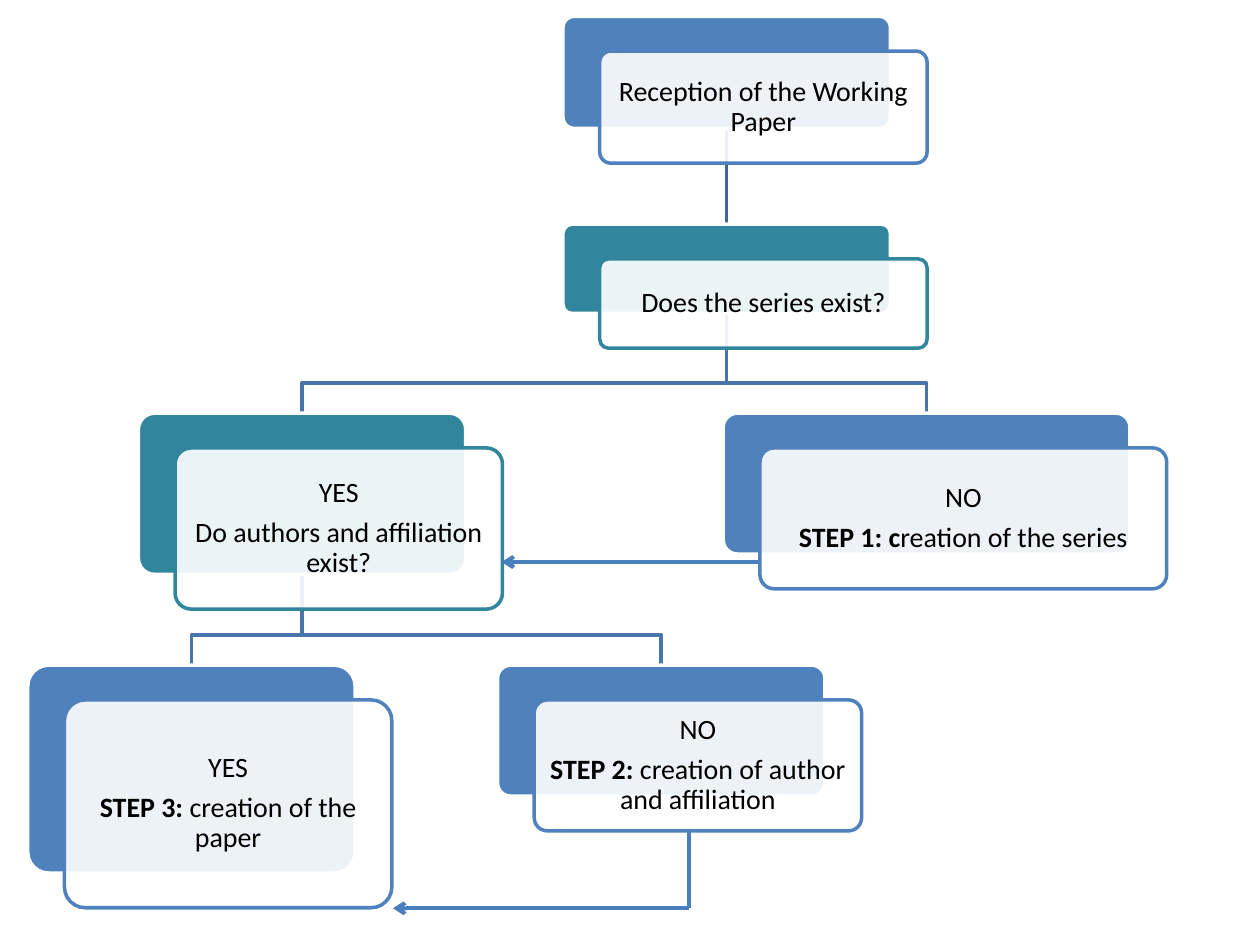
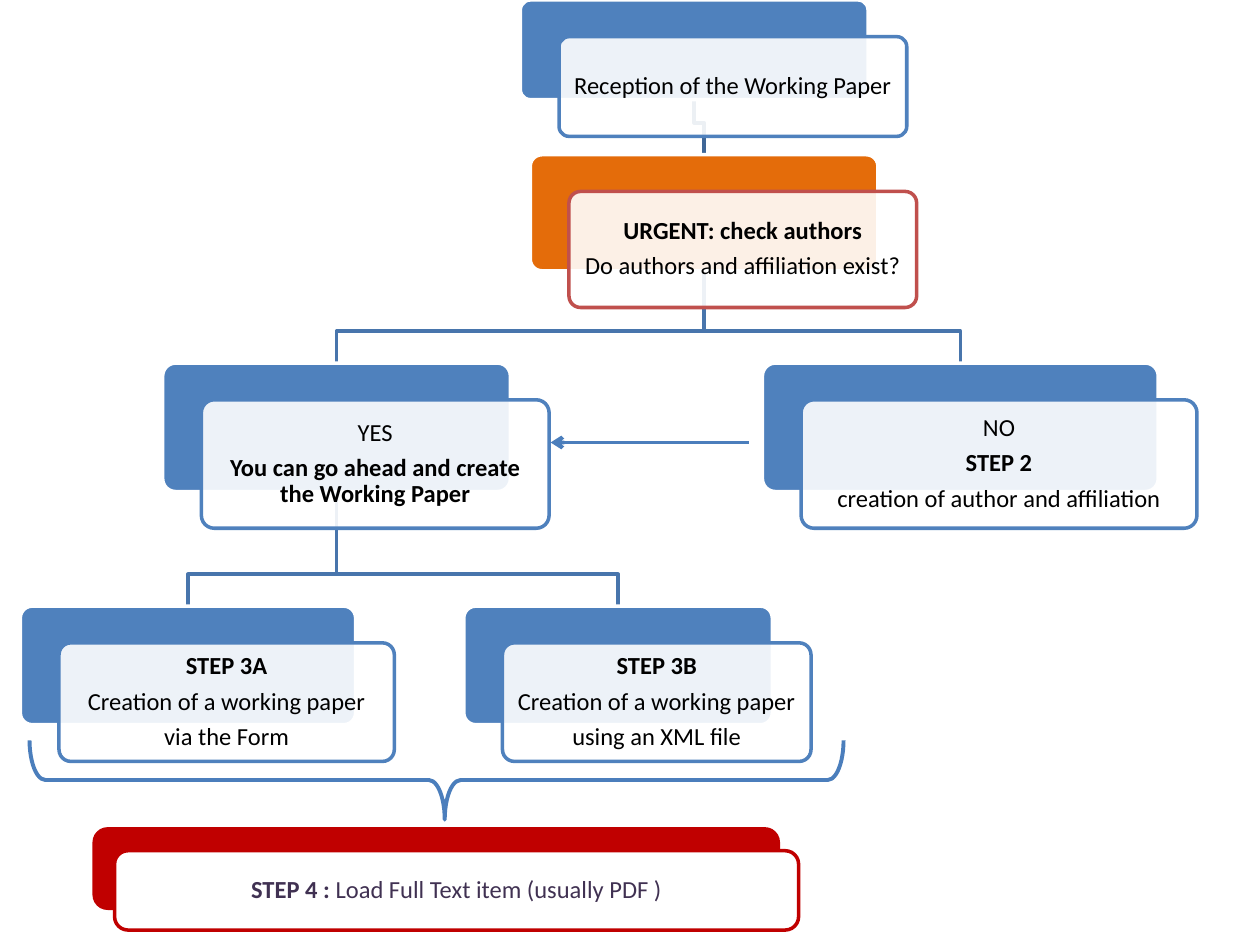
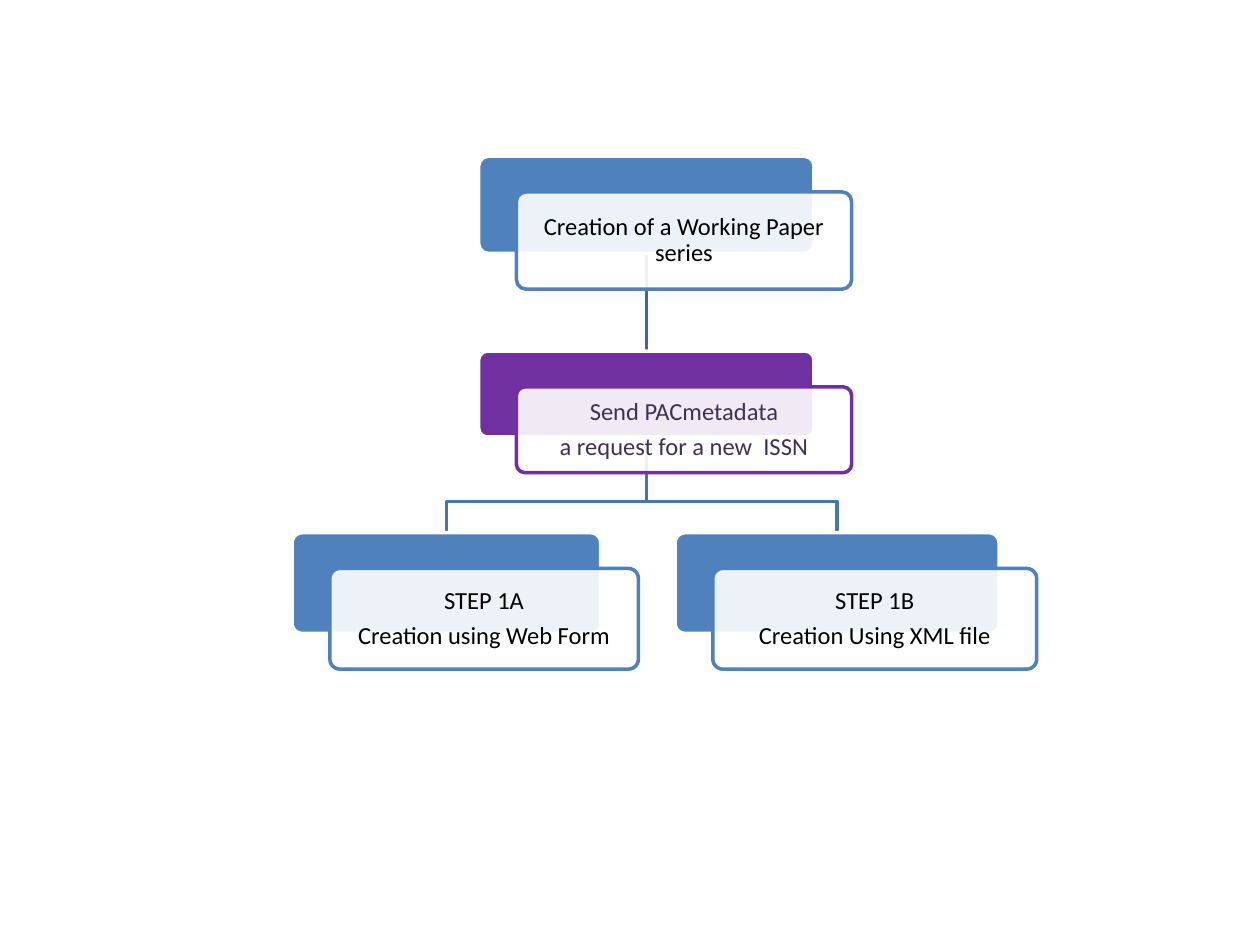
"""Build three flowcharts that explain how a working paper is recorded."""
from dataclasses import dataclass
from typing import Optional

from lxml import etree
from pptx import Presentation
from pptx import util as u
from pptx.dml.color import RGBColor
from pptx.enum import shapes, text
from pptx.oxml import ns

FONT = "Calibri"
WHITE = RGBColor(0xFF, 0xFF, 0xFF)
BLACK = RGBColor(0x00, 0x00, 0x00)
BLUE = RGBColor(0x4F, 0x81, 0xBD)
TEAL = RGBColor(0x31, 0x85, 0x9C)
ORANGE = RGBColor(0xE4, 0x6C, 0x0A)
BRICK = RGBColor(0xC0, 0x50, 0x4D)
RED = RGBColor(0xC0, 0x00, 0x00)
PURPLE = RGBColor(0x70, 0x30, 0xA0)
PLUM = RGBColor(0x40, 0x31, 0x52)
ARROW_BLUE = RGBColor(0x4B, 0x7E, 0xBC)
BRANCH_BLUE = RGBColor(0x48, 0x75, 0xAC)
ROOT_BLUE = RGBColor(0x3F, 0x67, 0x97)
CARD_CORNER = 0.1
BAR_CORNER = 0.17
LINK_WIDTH = 2
ARROW_WIDTH = 2.25


@dataclass(frozen=True)
class Line:
    """One paragraph: a bold lead followed by plain words."""
    plain: str = ""
    bold: str = ""


@dataclass(frozen=True)
class Look:
    """Type size, inner margin and front-card offset of one chart, in points and cm."""
    size: int
    margin: float
    shift: float
    drop: float

    @property
    def bend(self) -> float:
        """Height of a link's bend above the child card."""
        return 0.87 * self.drop


@dataclass(frozen=True)
class Box:
    """A rectangle in cm."""
    left: float
    top: float
    width: float
    height: float

    @property
    def middle(self) -> float:
        return self.left + self.width / 2

    @property
    def bottom(self) -> float:
        return self.top + self.height

    def moved(self, right: float, down: float) -> "Box":
        """Return the same box at an offset."""
        return Box(self.left + right, self.top + down, self.width, self.height)


@dataclass(frozen=True)
class Card:
    """A coloured card with a translucent text card in front of it."""
    box: Box
    lines: tuple[Line, ...]
    parent: Optional["Card"] = None
    fill: RGBColor = BLUE
    outline: Optional[RGBColor] = None
    ink: RGBColor = BLACK


LARGE = Look(size=16, margin=0.18, shift=0.74, drop=0.7)
WIDE = Look(size=14, margin=0.15, shift=0.78, drop=0.74)
COMPACT = Look(size=14, margin=0.15, shift=0.76, drop=0.72)


def append_tag(parent, tag: str, **attributes: str) -> None:
    """Append a drawing element to its parent."""
    etree.SubElement(parent, ns.qn(tag), **attributes)


def add_rounded(slide, box: Box, fill: RGBColor, outline: RGBColor, corner: float):
    """Draw a rounded rectangle."""
    shape = slide.shapes.add_shape(
        shapes.MSO_SHAPE.ROUNDED_RECTANGLE,
        u.Cm(box.left), u.Cm(box.top), u.Cm(box.width), u.Cm(box.height))
    shape.adjustments[0] = corner
    shape.shadow.inherit = False
    shape.fill.solid()
    shape.fill.fore_color.rgb = fill
    shape.line.color.rgb = outline
    shape.line.width = u.Pt(LINK_WIDTH)
    return shape


def write_lines(shape, lines: tuple[Line, ...], look: Look, ink: RGBColor) -> None:
    """Write centred paragraphs into a shape."""
    frame = shape.text_frame
    frame.word_wrap = True
    frame.vertical_anchor = text.MSO_ANCHOR.MIDDLE
    frame.margin_left = frame.margin_right = u.Cm(look.margin)
    frame.margin_top = frame.margin_bottom = u.Cm(look.margin)
    for index, line in enumerate(lines):
        paragraph = frame.add_paragraph() if index else frame.paragraphs[0]
        paragraph.alignment = text.PP_ALIGN.CENTER
        paragraph.line_spacing = 0.9
        paragraph.space_after = u.Pt(0.35 * look.size)
        paragraph.font.name = FONT
        paragraph.font.size = u.Pt(look.size)
        paragraph.font.color.rgb = ink
        for words, bold in ((line.bold, True), (line.plain, False)):
            if words:
                run = paragraph.add_run()
                run.text = words
                run.font.bold = bold


def add_card(slide, card: Card, look: Look) -> None:
    """Draw a card and the text card in front of it."""
    add_rounded(slide, card.box, card.fill, WHITE, CARD_CORNER)
    front = add_rounded(slide, card.box.moved(look.shift, look.drop), WHITE,
                        card.outline or card.fill, CARD_CORNER)
    append_tag(front.element.spPr.find(".//" + ns.qn("a:srgbClr")), "a:alpha", val="90000")
    write_lines(front, card.lines, look, card.ink)


def add_line(slide, start: tuple[float, float], end: tuple[float, float],
             color: RGBColor, width: float, arrow: bool = False) -> None:
    """Draw a straight line, with an arrowhead at its end if asked."""
    line = slide.shapes.add_connector(
        shapes.MSO_CONNECTOR.STRAIGHT, *(u.Cm(value) for value in start + end))
    line.line.color.rgb = color
    line.line.width = u.Pt(width)
    if arrow:
        append_tag(line.line._get_or_add_ln(), "a:tailEnd", type="arrow")
    append_tag(line.element.spPr, "a:effectLst")


def add_link(slide, parent: Card, child: Card, look: Look) -> None:
    """Join a card to the one below it, with a bend where they are not aligned."""
    color = BRANCH_BLUE if parent.parent else ROOT_BLUE
    start = (parent.box.middle, parent.box.bottom)
    end = (child.box.middle, child.box.top)
    if start[0] == end[0]:
        add_line(slide, start, end, color, LINK_WIDTH)
        return
    bend = child.box.top - look.bend
    points = [(u.Cm(x), u.Cm(y)) for x, y in (start, (start[0], bend), (end[0], bend), end)]
    builder = slide.shapes.build_freeform(*points[0])
    builder.add_line_segments(points[1:], close=False)
    link = builder.convert_to_shape()
    link.shadow.inherit = False
    link.fill.background()
    link.line.color.rgb = color
    link.line.width = u.Pt(LINK_WIDTH)


def add_chart_slide(presentation, cards: tuple[Card, ...], look: Look):
    """Add a slide with all links behind all cards."""
    slide = presentation.slides.add_slide(presentation.slide_layouts[6])
    for card in cards:
        if card.parent:
            add_link(slide, card.parent, card, look)
    for card in cards:
        add_card(slide, card, look)
    return slide


def add_reception_slide(presentation) -> None:
    """Show the path from reception to the three steps."""
    reception = Card(Box(11.35, 0.33, 6.6, 2.26), (Line("Reception of the Working Paper"),))
    series = Card(Box(11.35, 4.52, 6.6, 1.8), (Line("Does the series exist?"),),
                  reception, TEAL)
    authors = Card(Box(2.79, 8.33, 6.6, 3.25),
                   (Line("YES"), Line("Do authors and affiliation exist?")), series, TEAL)
    paper = Card(Box(0.56, 13.41, 6.6, 4.19),
                 (Line("YES"), Line("creation of the paper", "STEP 3: ")), authors)
    new_author = Card(Box(10.03, 13.41, 6.6, 2.64),
                      (Line("NO"), Line("creation of author and affiliation", "STEP 2: ")),
                      authors)
    new_series = Card(Box(14.58, 8.33, 8.2, 2.84),
                      (Line("NO"), Line("reation of the series", "STEP 1: c")), series)
    slide = add_chart_slide(
        presentation, (reception, series, authors, paper, new_author, new_series), LARGE)
    corner = (13.89, 18.31)
    add_line(slide, (15.29, 11.33), (10.11, 11.33), ARROW_BLUE, ARROW_WIDTH, arrow=True)
    add_line(slide, corner, (7.92, 18.31), ARROW_BLUE, ARROW_WIDTH, arrow=True)
    add_line(slide, (13.89, 16.71), corner, ARROW_BLUE, ARROW_WIDTH)


def add_brace(slide, box: Box) -> None:
    """Draw a brace turned to point down."""
    brace = slide.shapes.add_shape(
        shapes.MSO_SHAPE.RIGHT_BRACE,
        u.Cm(box.left), u.Cm(box.top), u.Cm(box.width), u.Cm(box.height))
    brace.rotation = 90
    brace.adjustments[0] = 0.2
    brace.adjustments[1] = 0.49
    brace.shadow.inherit = False
    brace.fill.background()
    brace.line.color.rgb = ARROW_BLUE
    brace.line.width = u.Pt(ARROW_WIDTH)


def add_authors_slide(presentation) -> None:
    """Show the author check and the loading of the full text."""
    reception = Card(Box(10.49, 0, 7.01, 2.01), (Line("Reception of the Working Paper"),))
    check = Card(Box(10.69, 3.12, 7.01, 2.34),
                 (Line(bold="URGENT: check authors"),
                  Line("Do authors and affiliation exist?")),
                 reception, ORANGE, BRICK)
    go_ahead = Card(Box(3.28, 7.32, 7.01, 2.59),
                    (Line("YES"), Line(bold="You can go ahead and create the Working Paper")),
                    check)
    form = Card(Box(0.41, 12.22, 6.76, 2.39),
                (Line(bold="STEP 3A"), Line("Creation of a working paper"),
                 Line("via the Form")), go_ahead)
    xml_file = Card(Box(9.35, 12.22, 6.22, 2.39),
                    (Line(bold="STEP 3B"), Line("Creation of a working paper"),
                     Line("using an XML file")), go_ahead)
    new_author = Card(Box(15.37, 7.32, 7.98, 2.59),
                      (Line("NO"), Line(bold="STEP 2"),
                       Line("creation of author and affiliation")), check)
    slide = add_chart_slide(
        presentation, (reception, check, go_ahead, form, xml_file, new_author), WIDE)
    add_line(slide, (15.09, 8.92), (11.1, 8.92), ARROW_BLUE, ARROW_WIDTH, arrow=True)
    add_brace(slide, Box(8, 7.52, 1.6, 16.41))
    bar = Box(1.9, 16.71, 13.79, 1.6)
    add_rounded(slide, bar, RED, RED, BAR_CORNER)
    front = add_rounded(slide, bar.moved(0.41, 0.44), WHITE, RED, BAR_CORNER)
    write_lines(front, (Line("Load Full Text item (usually PDF )", "STEP 4 : "),), WIDE, PLUM)


def add_series_slide(presentation) -> None:
    """Show the two ways to create a series."""
    creation = Card(Box(9.65, 3.15, 6.76, 1.96),
                    (Line("Creation of a Working Paper series"),))
    request = Card(Box(9.65, 7.08, 6.76, 1.73),
                   (Line("Send PACmetadata"), Line("a request for a new  ISSN")),
                   creation, PURPLE, ink=PLUM)
    form = Card(Box(5.89, 10.74, 6.22, 2.03),
                (Line("STEP 1A"), Line("Creation using Web Form")), request)
    xml_file = Card(Box(13.61, 10.74, 6.53, 2.03),
                    (Line("STEP 1B"), Line("Creation Using XML file")), request)
    add_chart_slide(presentation, (creation, request, form, xml_file), COMPACT)


def main() -> None:
    """Build and save the presentation."""
    presentation = Presentation()
    presentation.slide_width = u.Cm(25.4)
    presentation.slide_height = u.Cm(19.05)
    add_reception_slide(presentation)
    add_authors_slide(presentation)
    add_series_slide(presentation)
    presentation.save("out.pptx")


main()
